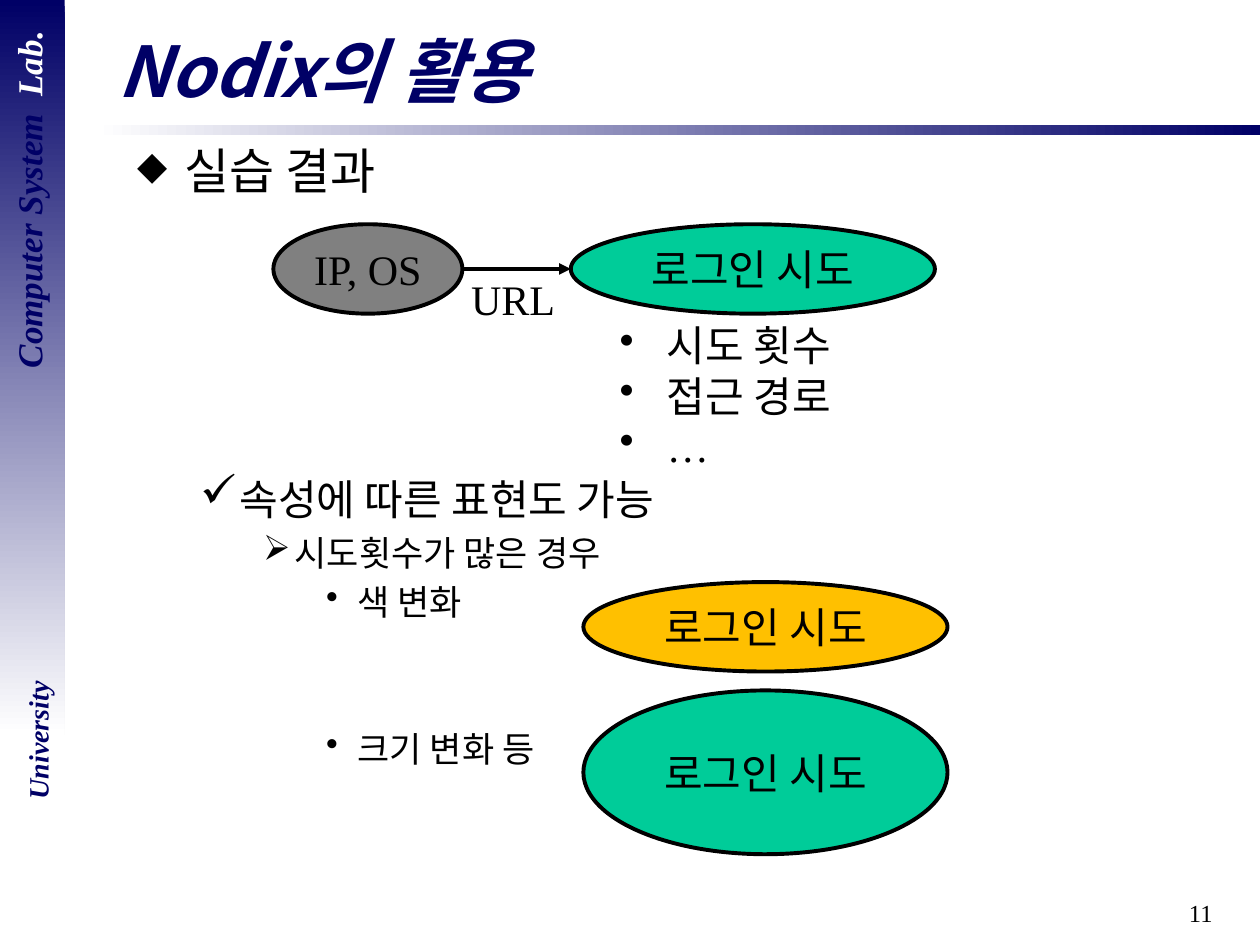
from lxml import etree
from pptx import Presentation
from pptx.dml.color import RGBColor
from pptx.enum.shapes import MSO_CONNECTOR, MSO_SHAPE
from pptx.enum.text import MSO_ANCHOR, PP_ALIGN
from pptx.oxml.ns import qn
from pptx.util import Pt

OVAL, RECT = MSO_SHAPE.OVAL, MSO_SHAPE.RECTANGLE
LINE = MSO_CONNECTOR.STRAIGHT
LEFT, MID, RIGHT = PP_ALIGN.LEFT, PP_ALIGN.CENTER, PP_ALIGN.RIGHT
TOP, CORE = MSO_ANCHOR.TOP, MSO_ANCHOR.MIDDLE
SERIF, SANS = "Times New Roman", "Noto Sans CJK KR"
HEX = {"navy": "000066", "white": "FFFFFF", "black": "000000",
       "gray": "808080", "green": "00CC99", "amber": "FFC000"}

# Boxes are left, top, width, height in points.
TITLE = ("Nodix의 활용", (59.76, 12.24, 640.8, 55.44))
BANDS = [  # box, start colour, end colour, angle
    ((54, 71.28, 666, 5.76), "white", "navy", 0),
    ((0, 0, 37, 420), "navy", "white", 270),
]
SIDE = [  # box, size, runs
    ((-94.32, 98.64, 221.04, 30.96), 20,
     [("Computer System ", "navy"), (" Lab.", "white")]),
    ((-29.52, 409.68, 102.24, 26.64), 16, [("University", "navy")]),
]
NUMBER = ("11", (550, 509.76, 150, 30.24))
LOGIN = "로그인 시도"
NODES = [
    ("IP, OS", (156.24, 128.16, 108, 51.12), "gray"),
    (LOGIN, (326.16, 128.16, 208.08, 51.12), "green"),
    (LOGIN, (333.36, 332.64, 208.08, 51.12), "amber"),
    (LOGIN, (333.36, 394.56, 208.08, 93.6), "green"),
]
EDGE = ("URL", (262.08, 152.64, 84.96, 36))
TRAITS = (["시도 횟수", "접근 경로", "…"], (347.04, 179.28, 266.4, 123.84))
BODY_BOX = (71.28, 76.32, 629.28, 415.44)
BODY = [  # text, level, gap above
    ("실습 결과", 0, 0),
    ("속성에 따른 표현도 가능", 1, 156.4),
    ("시도횟수가 많은 경우", 2, 4.3),
    ("색 변화", 3, 4),
    ("크기 변화 등", 3, 60),
]
LEVELS = [  # size, line height, margin, hang, bullet, bullet percent
    (28, 34, 27, 27, "◆", 80),
    (24, 29, 58.5, 22.5, "✓", 110),
    (20, 24, 90, 18, "➢", 100),
    (20, 24, 126, 18, "•", 100),
]


def rgb(name):
    return RGBColor.from_string(HEX[name])


def style(item, **values):
    for name, value in values.items():
        setattr(item, name, value)


def place(shape, box):
    style(shape, **dict(zip(("left", "top", "width", "height"), map(Pt, box))))


def write(para, text, size, color="black", face=SERIF, **look):
    run = para.add_run()
    run.text = text
    style(run.font, size=Pt(size), name=face, **look)
    run.font.color.rgb = rgb(color)
    if face == SANS:
        etree.SubElement(run.font._element, qn("a:ea"), typeface=face)


def bullet(para, mark, margin, hang, percent=100):
    props = para._p.get_or_add_pPr()
    props.set("marL", str(Pt(margin)))
    props.set("indent", str(-Pt(hang)))
    etree.SubElement(props, qn("a:buSzPct"), val=str(percent * 1000))
    etree.SubElement(props, qn("a:buChar"), char=mark)


def text_box(shapes, box):
    shape = shapes.add_textbox(*map(Pt, box))
    style(shape.text_frame, word_wrap=True, vertical_anchor=TOP)
    return shape


def lines(frame, count):
    """Return the frame's paragraphs after growing it to count."""
    for _ in range(count - 1):
        frame.add_paragraph()
    return frame.paragraphs


def add_frame(shapes):
    """Draw the gradient bands, the side labels and the page number."""
    for box, start, end, angle in BANDS:
        band = shapes.add_shape(RECT, *map(Pt, box))
        band.shadow.inherit = False
        band.line.fill.background()
        band.fill.gradient()
        band.fill.gradient_angle = angle
        for stop, name in zip(band.fill.gradient_stops, (start, end)):
            stop.color.rgb = rgb(name)
    for box, size, runs in SIDE:
        label = text_box(shapes, box)
        label.rotation = 270
        para = label.text_frame.paragraphs[0]
        para.alignment = MID
        for text, color in runs:
            write(para, text, size, color, bold=True, italic=True)
    text, box = NUMBER
    para = text_box(shapes, box).text_frame.paragraphs[0]
    para.alignment = RIGHT
    write(para, text, 14)


def add_title(shape):
    text, box = TITLE
    place(shape, box)
    style(shape.text_frame, vertical_anchor=CORE, word_wrap=True)
    para = shape.text_frame.paragraphs[0]
    para.alignment = LEFT
    write(para, text, 40, "navy", SANS, bold=True, italic=True)


def add_body(shapes):
    frame = text_box(shapes, BODY_BOX).text_frame
    for para, (text, level, gap) in zip(lines(frame, len(BODY)), BODY):
        size, height, margin, hang, mark, percent = LEVELS[level]
        style(para, level=level, space_before=Pt(gap), line_spacing=Pt(height))
        bullet(para, mark, margin, hang, percent)
        write(para, text, size, face=SANS)


def add_arrow(shapes, start, end):
    """Join the right side of one node to the left side of the next."""
    y = start.top + start.height // 2
    arrow = shapes.add_connector(LINE, start.left + start.width, y, end.left, y)
    arrow.line.color.rgb = rgb("black")
    arrow.line.width = Pt(2.25)
    props = arrow._element.spPr
    etree.SubElement(props.find(qn("a:ln")), qn("a:tailEnd"), type="triangle")
    etree.SubElement(props, qn("a:effectLst"))


def add_graph(shapes):
    nodes = []
    for text, box, color in NODES:
        node = shapes.add_shape(OVAL, *map(Pt, box))
        node.shadow.inherit = False
        node.fill.solid()
        node.fill.fore_color.rgb = rgb(color)
        node.line.color.rgb = rgb("black")
        node.line.width = Pt(2.25)
        style(node.text_frame, word_wrap=False, vertical_anchor=CORE)
        para = node.text_frame.paragraphs[0]
        para.alignment = MID
        write(para, text, 24)
        nodes.append(node)
    add_arrow(shapes, *nodes[:2])

    text, box = EDGE
    write(text_box(shapes, box).text_frame.paragraphs[0], text, 24)
    traits, box = TRAITS
    frame = text_box(shapes, box).text_frame
    for para, text in zip(lines(frame, len(traits)), traits):
        bullet(para, "•", 27, 27)
        write(para, text, 24)


def main():
    deck = Presentation()
    style(deck, slide_width=Pt(720), slide_height=Pt(540))
    slide = deck.slides.add_slide(deck.slide_layouts[5])
    add_frame(slide.shapes)
    add_title(slide.shapes.title)
    add_body(slide.shapes)
    add_graph(slide.shapes)
    deck.save("out.pptx")


if __name__ == "__main__":
    main()
